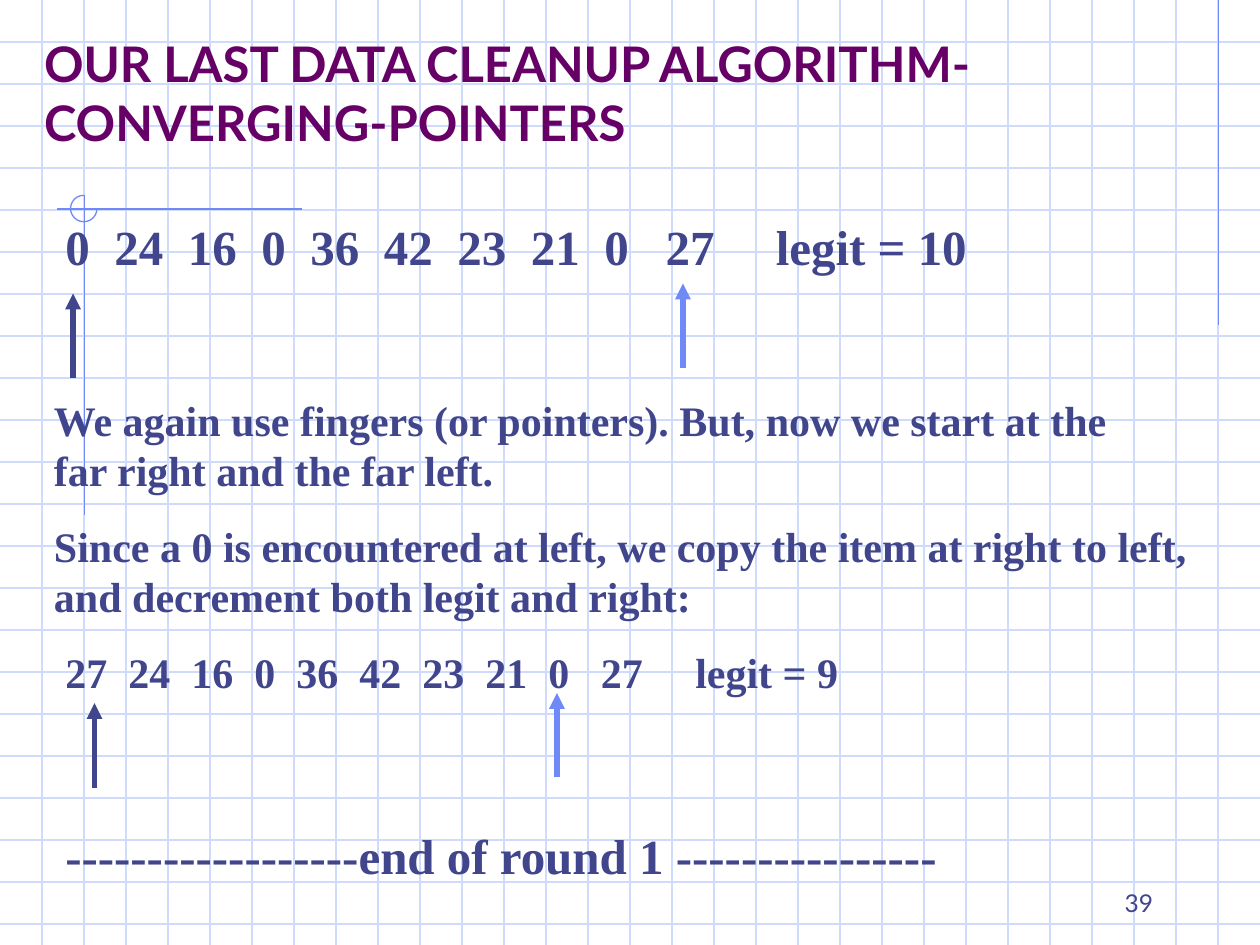
from pptx import Presentation
from pptx.dml.color import RGBColor
from pptx.enum.shapes import MSO_CONNECTOR, MSO_SHAPE
from pptx.enum.text import MSO_ANCHOR, MSO_AUTO_SIZE, PP_ALIGN
from pptx.oxml.ns import qn
from pptx.util import Inches, Pt
from lxml.etree import SubElement

GRID_BLUE = RGBColor(0xCF, 0xDB, 0xFD)
ACCENT_BLUE = RGBColor(0x6F, 0x89, 0xF7)
INDIGO = RGBColor(0x40, 0x45, 0x8C)
PURPLE = RGBColor(0x66, 0x00, 0x66)
SERIF = "Times New Roman"

presentation = Presentation()
presentation.slide_width = Inches(10)
presentation.slide_height = Inches(7.5)
slide = presentation.slides.add_slide(presentation.slide_layouts[5])
shapes = slide.shapes


def add_line(start_x, start_y, end_x, end_y, color, width=0.75, arrow=False):
    connector = shapes.add_connector(
        MSO_CONNECTOR.STRAIGHT,
        Inches(start_x), Inches(start_y), Inches(end_x), Inches(end_y),
    )
    connector.line.color.rgb = color
    connector.line.width = Pt(width)
    if arrow:
        SubElement(connector.line._get_or_add_ln(), qn("a:tailEnd"), type="triangle")
    SubElement(connector._element.spPr, qn("a:effectLst"))


def write_text(shape, text, font_values, anchor=MSO_ANCHOR.TOP,
               alignment=PP_ALIGN.LEFT, tab_stops=()):
    frame = shape.text_frame
    frame.word_wrap = True
    frame.auto_size = MSO_AUTO_SIZE.NONE
    frame.vertical_anchor = anchor
    frame.text = text
    paragraph = frame.paragraphs[0]
    paragraph.alignment = alignment
    if tab_stops:
        tab_list = SubElement(paragraph._p.get_or_add_pPr(), qn("a:tabLst"))
        for stop in tab_stops:
            SubElement(tab_list, qn("a:tab"), pos=str(Pt(stop)), algn="l")
    font = paragraph.runs[0].font
    font.color.rgb = font_values["color"]
    for name, value in font_values.items():
        if name != "color":
            setattr(font, name, value)


for row in range(1, 23):
    add_line(0, row / 3, 10, row / 3, GRID_BLUE)
for column in range(1, 30):
    add_line(column / 3, 0, column / 3, 7.5, GRID_BLUE)

for ends in [(9.67, 0, 9.67, 2.58), (2.4, 1.66, 0.45, 1.66), (0.67, 1.55, 0.67, 4.09)]:
    add_line(*ends, ACCENT_BLUE)

corner_arc = shapes.add_shape(
    MSO_SHAPE.ARC, Inches(0.56), Inches(1.55), Inches(0.21), Inches(0.21)
)
corner_arc.adjustments[0] = 0
corner_arc.adjustments[1] = 162
corner_arc.shadow.inherit = False
corner_arc.fill.background()
corner_arc.line.color.rgb = ACCENT_BLUE
corner_arc.line.width = Pt(0.75)

title = shapes.title
shapes._spTree.append(title._element)
title.left, title.top = Inches(0.25), Inches(0.33)
title.width, title.height = Inches(9.42), Inches(0.92)
write_text(
    title, "OUR LAST DATA CLEANUP ALGORITHM- CONVERGING-POINTERS",
    {"name": "Lato", "size": Pt(28), "bold": True, "color": PURPLE},
    anchor=MSO_ANCHOR.BOTTOM,
)

number_rows = [
    ("0 24 16 0 36 42 23 21 0 27", "legit = 10", 1.67, 8.75, 0.57, 28),
    ("27 24 16 0 36 42 23 21 0 27", "legit = 9", 5.08, 8.25, 0.5, 24),
]
gaps = [0.5] * 8 + [0.75, 1.25]
for numbers, legit, top, width, height, size in number_rows:
    items = numbers.split()
    tab_stops = []
    position = 0
    for item, gap in zip(items, gaps):
        position += (len(item) * 0.5 + gap) * size
        tab_stops.append(position)
    box = shapes.add_textbox(Inches(0.42), Inches(top), Inches(width), Inches(height))
    write_text(
        box, "\t".join(items + [legit]),
        {"name": SERIF, "size": Pt(size), "bold": True, "color": INDIGO},
        tab_stops=tab_stops,
    )

explanations = [
    ("We again use fingers (or pointers). But, now we start at the far right "
     "and the far left.", 0.33, 3.08, 8.83, 0.9, 24),
    ("Since a 0 is encountered at left, we copy the item at right to left, "
     "and decrement both legit and right:", 0.33, 4.08, 9.25, 0.9, 24),
    ("------------------end of round 1 ----------------", 0.42, 6.5, 8.67, 0.57, 28),
]
for text, left, top, width, height, size in explanations:
    box = shapes.add_textbox(Inches(left), Inches(top), Inches(width), Inches(height))
    write_text(box, text, {"name": SERIF, "size": Pt(size), "bold": True, "color": INDIGO})

pointers = [
    (0.58, 2.33, INDIGO), (5.42, 2.25, ACCENT_BLUE),
    (0.75, 5.58, INDIGO), (4.42, 5.5, ACCENT_BLUE),
]
for x, tip, color in pointers:
    add_line(x, tip + 0.67, x, tip, color, width=3, arrow=True)

page_number = shapes.add_textbox(Inches(7.17), Inches(6.83), Inches(2.08), Inches(0.5))
write_text(
    page_number, "39", {"name": "Lato", "size": Pt(14), "color": INDIGO},
    anchor=MSO_ANCHOR.BOTTOM, alignment=PP_ALIGN.RIGHT,
)

presentation.save("out.pptx")
